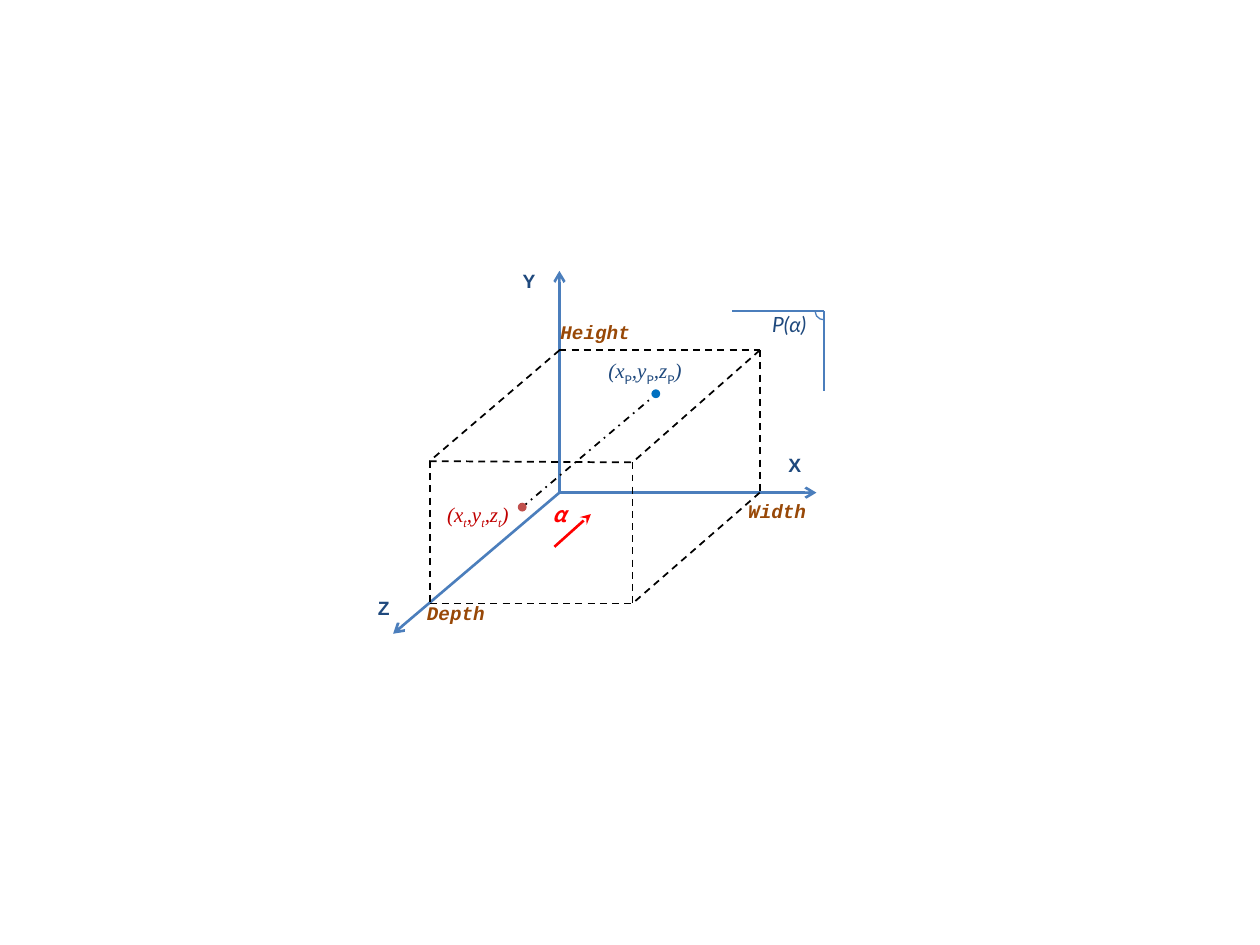
from lxml import etree
from pptx import Presentation
from pptx.dml.color import RGBColor
from pptx.enum import dml, shapes, text
from pptx.oxml import ns
from pptx.util import Inches, Pt

AXIS_BLUE = RGBColor(0x4B, 0x7E, 0xBC)
NAVY = RGBColor(0x1F, 0x49, 0x7D)
BROWN = RGBColor(0x98, 0x48, 0x07)
CRIMSON = RGBColor(0xC0, 0x00, 0x00)
RED = RGBColor(0xFF, 0x00, 0x00)
BLACK = RGBColor(0x00, 0x00, 0x00)
START_RED = RGBColor(0xC0, 0x50, 0x4D)
END_BLUE = RGBColor(0x00, 0x70, 0xC0)
DASH = dml.MSO_LINE.DASH
DASH_DOT = dml.MSO_LINE.DASH_DOT
SERIF, SANS, MONO = "Times New Roman", "Lato", "Courier New"

# Corners of the box
origin = (4.44, 3.91)
back_top_left, back_top_right = (4.44, 2.78), (6.03, 2.78)
back_bottom_right = (6.03, 3.91)
front_top_left, front_top_right = (3.41, 3.66), (5.02, 3.67)
front_bottom_left, front_bottom_right = (3.41, 4.79), (5.02, 4.79)

axis_tips = [(4.44, 2.15), (3.12, 5.03), (6.48, 3.91)]
box_edges = [
    (back_top_left, back_top_right),
    (back_top_left, front_top_left),
    (back_top_right, back_bottom_right),
    (front_top_left, front_bottom_left),
    (front_top_right, front_bottom_right),
    (front_top_left, front_top_right),
    (back_top_right, front_top_right),
    (back_bottom_right, front_bottom_right),
    (front_bottom_left, front_bottom_right),
]
plane_corner = (6.54, 2.47)
plane_ends = [(5.81, 2.47), (6.54, 3.1)]
points = [((4.11, 3.99), START_RED), ((5.17, 3.09), END_BLUE)]
POINT_SIZE = 0.07

# Text, (left, top, width, height), font, size, colour, bold, italic
labels = [
    ("Y", (4.05, 2.09, 0.3, 0.29), "Arial", 11, NAVY, True, False),
    ("X", (6.16, 3.55, 0.3, 0.29), "Arial", 11, NAVY, True, False),
    ("Z", (2.9, 4.68, 0.29, 0.29), "Arial", 11, NAVY, True, False),
    ("P(α)", (6.03, 2.42, 0.51, 0.44), SANS, 12, NAVY, False, True),
    ("α", (4.29, 3.93, 0.31, 0.34), "Noto Sans CJK JP", 12, RED, True, True),
    ("Width", (5.84, 3.91, 0.67, 0.29), MONO, 11, BROWN, True, True),
    ("Height", (4.35, 2.49, 0.76, 0.36), MONO, 11, BROWN, True, True),
    ("Depth", (3.29, 4.72, 0.67, 0.32), MONO, 11, BROWN, True, True),
]
# Subscript, box, colour, subscript font, subscript italic
coordinates = [
    ("t", (3.45, 3.93, 0.71, 0.45), CRIMSON, SERIF, True),
    ("P", (4.73, 2.79, 0.8, 0.42), NAVY, SANS, False),
]

prs = Presentation()
prs.slide_width, prs.slide_height = Inches(10), Inches(7.5)
slide = prs.slides.add_slide(prs.slide_layouts[6])


def add_line(start, end, color, width, dash=None, head=None):
    line = slide.shapes.add_connector(
        shapes.MSO_CONNECTOR.STRAIGHT, *map(Inches, start + end))
    line.line.color.rgb = color
    line.line.width = Pt(width)
    if dash:
        line.line.dash_style = dash
    if head:
        etree.SubElement(line.line._get_or_add_ln(), ns.qn("a:tailEnd"), type=head)
    etree.SubElement(line._element.spPr, ns.qn("a:effectLst"))


def add_label_box(box):
    label = slide.shapes.add_textbox(*map(Inches, box))
    label.text_frame.word_wrap = False
    paragraph = label.text_frame.paragraphs[0]
    paragraph.alignment = text.PP_ALIGN.JUSTIFY
    return paragraph


def add_run(paragraph, words, font, size, color, bold, italic):
    run = paragraph.add_run()
    run.text = words
    run.font.name, run.font.size = font, Pt(size)
    run.font.color.rgb = color
    run.font.bold, run.font.italic = bold, italic
    return run


# Axes, box and the line between the two points
for tip in axis_tips:
    add_line(origin, tip, AXIS_BLUE, 1.5, head="arrow")
for start, end in box_edges:
    add_line(start, end, BLACK, 1, DASH)
add_line((4.14, 4.03), (5.17, 3.16), BLACK, 1, DASH_DOT)

for place, color in points:
    point = slide.shapes.add_shape(
        shapes.MSO_SHAPE.OVAL, *map(Inches, place + (POINT_SIZE, POINT_SIZE)))
    point.shadow.inherit = False
    point.fill.solid()
    point.fill.fore_color.rgb = color
    point.line.fill.background()

# Plane corner with its angle mark in the lower left quadrant
for end in plane_ends:
    add_line(plane_corner, end, AXIS_BLUE, 1)
angle = slide.shapes.add_shape(
    shapes.MSO_SHAPE.ARC, *map(Inches, (6.47, 2.41, 0.15, 0.13)))
angle.shadow.inherit = False
angle.adjustments[0], angle.adjustments[1] = 54, 108  # 90 and 180 degrees
angle.fill.background()
angle.line.color.rgb = AXIS_BLUE
angle.line.width = Pt(0.75)

# Direction arrow
add_line((4.4, 4.34), (4.69, 4.08), RED, 1.5, head="stealth")

# Labels
for words, box, *style in labels:
    add_run(add_label_box(box), words, *style)
for subscript, box, color, font, italic in coordinates:
    paragraph = add_label_box(box)
    for part in ("(x", ",y", ",z"):
        add_run(paragraph, part, SERIF, 12, color, False, True)
        lowered = add_run(paragraph, subscript, font, 12, color, False, italic)
        lowered._r.get_or_add_rPr().set("baseline", "-25000")
    add_run(paragraph, ")", SERIF, 12, color, False, True)

prs.save("out.pptx")
